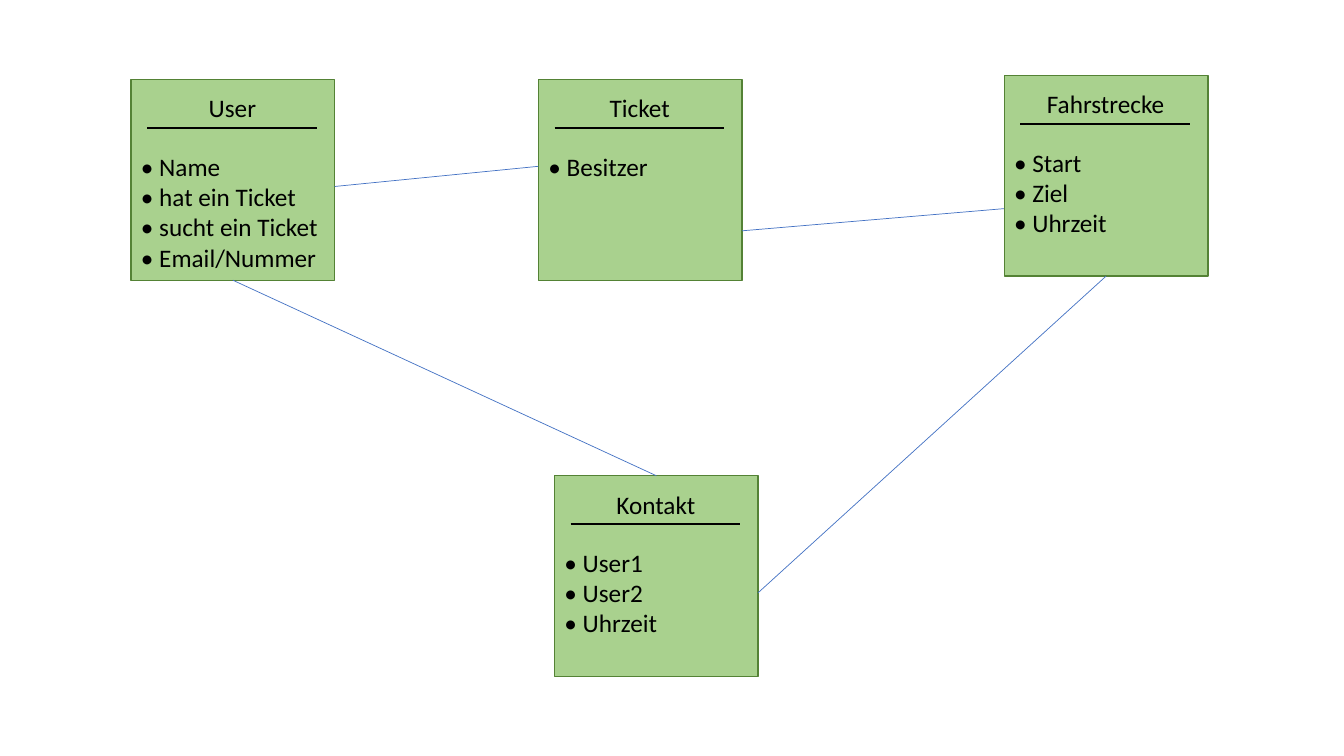
import pptx
import pptx.util
import pptx.dml.color
import pptx.enum.shapes
import pptx.enum.text
import pptx.oxml

Inches = pptx.util.Inches
Pt = pptx.util.Pt
Align = pptx.enum.text.PP_ALIGN


def paint(fmt, color):
    fmt.solid()
    fmt.fore_color.rgb = pptx.dml.color.RGBColor.from_string(color)


def draw_line(parent, start, end, color, width):
    line = parent.add_connector(
        pptx.enum.shapes.MSO_CONNECTOR.STRAIGHT,
        *[Inches(v) for v in (*start, *end)])
    paint(line.line.fill, color)
    line.line.width = Pt(width)
    line._element.spPr.append(pptx.oxml.parse_xml(
        '<a:effectLst xmlns:a="http://schemas.openxmlformats.org/drawingml/2006/main"/>'))
    return line


prs = pptx.Presentation()
prs.slide_width = Inches(13.33)
prs.slide_height = Inches(7.5)
slide = prs.slides.add_slide(prs.slide_layouts[6])

# Entities: name, left, top, attributes
wide, high = 2.02, 1.99
entities = [
    ("User", 1.3, 0.79,
     ["Name", "hat ein Ticket", "sucht ein Ticket", "Email/Nummer"]),
    ("Ticket", 5.34, 0.79, ["Besitzer"]),
    ("Fahrstrecke", 9.96, 0.75, ["Start", "Ziel", "Uhrzeit"]),
    ("Kontakt", 5.5, 4.72, ["User1", "User2", "Uhrzeit"]),
]
boxes = {}
for name, left, top, items in entities:
    group = slide.shapes.add_group_shape()

    # Green box
    box = group.shapes.add_shape(
        pptx.enum.shapes.MSO_SHAPE.RECTANGLE,
        Inches(left), Inches(top), Inches(wide), Inches(high))
    box.shadow.inherit = False
    paint(box.fill, "A9D18E")
    paint(box.line.fill, "548235")
    box.line.width = Pt(1)
    boxes[name] = box

    # Rule under the title
    draw_line(group.shapes, (left + 0.16, top + 0.48),
              (left + 1.84, top + 0.48), "000000", 1.5)

    # Title and attribute list
    texts = [
        ([name], 0.31, 0.08, 1.39, Align.CENTER),
        (["• " + item for item in items], 0, 0.66, wide, Align.LEFT),
    ]
    for rows, dx, dy, width, align in texts:
        label = group.shapes.add_textbox(
            Inches(left + dx), Inches(top + dy),
            Inches(width), Inches(0.11 + 0.3 * len(rows)))
        frame = label.text_frame
        frame.word_wrap = True
        frame.auto_size = pptx.enum.text.MSO_AUTO_SIZE.SHAPE_TO_FIT_TEXT
        for i, row in enumerate(rows):
            para = frame.add_paragraph() if i else frame.paragraphs[0]
            para.alignment = align
            run = para.add_run()
            run.text = row
            run.font.name = "Calibri"
            run.font.size = Pt(18)
            paint(run.font.fill, "000000")

# Relations: start, end, box and side joined at start, then at end
links = [
    ((2.31, 2.78), (6.51, 4.72), ("User", 2), ("Kontakt", 0)),
    ((3.32, 1.85), (5.34, 1.65), None, None),
    ((7.52, 5.88), (10.97, 2.74), None, ("Fahrstrecke", 2)),
    ((7.36, 2.29), (9.96, 2.07), None, None),
]
for start, end, tail, head in links:
    link = draw_line(slide.shapes, start, end, "4472C4", 0.5)
    if tail:
        link.begin_connect(boxes[tail[0]], tail[1])
    if head:
        link.end_connect(boxes[head[0]], head[1])

prs.save("out.pptx")
